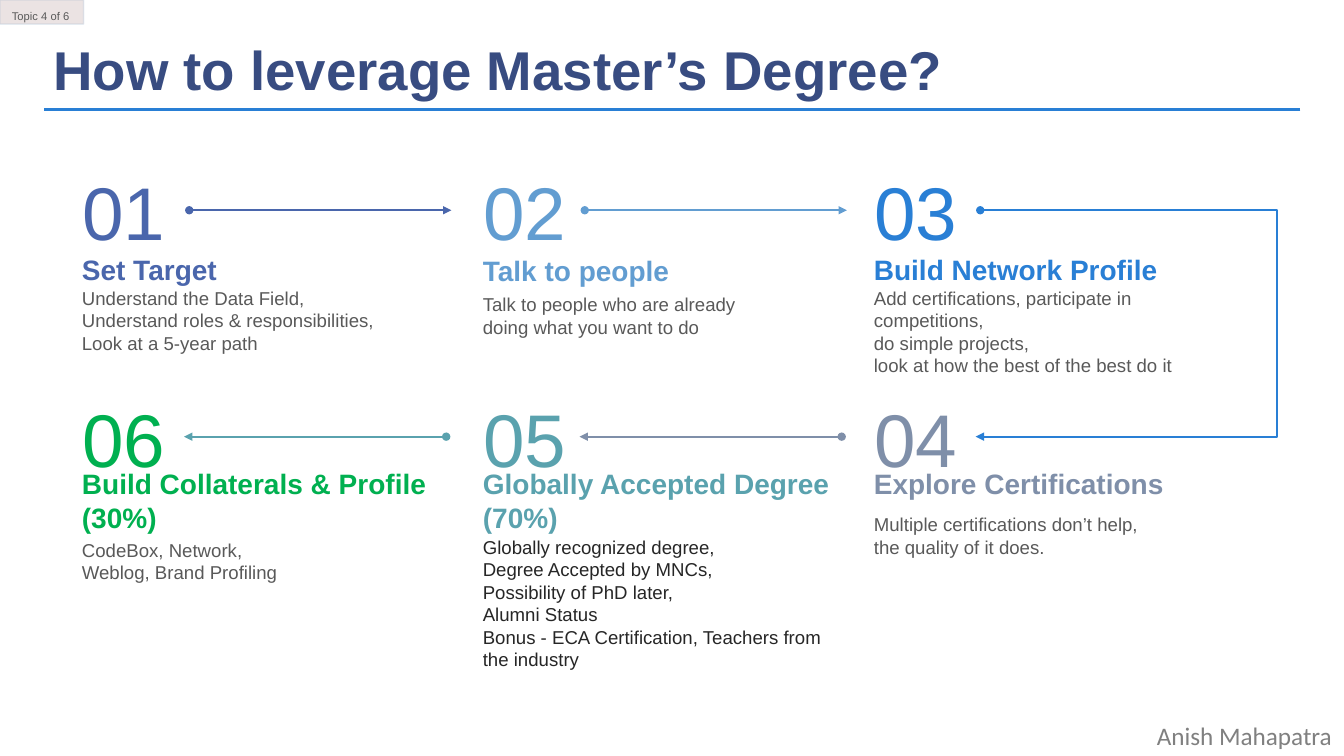
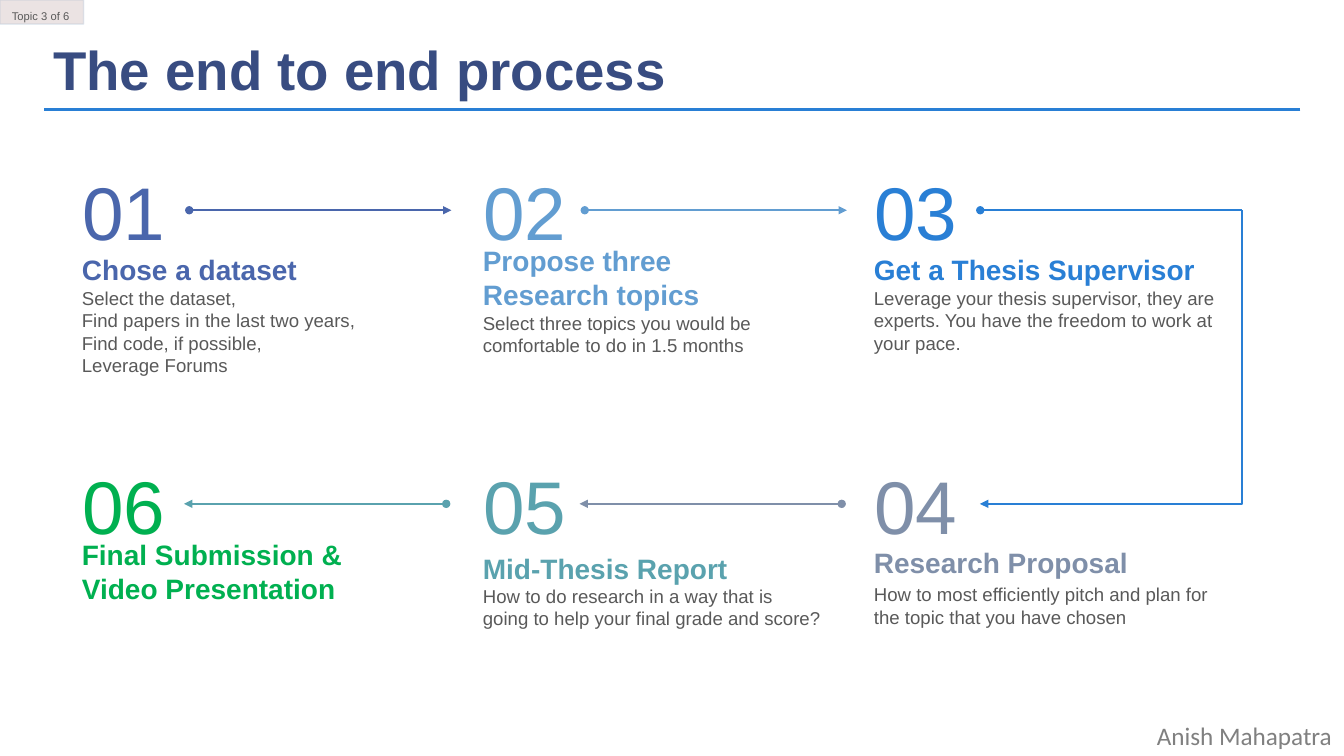
from dataclasses import dataclass
from lxml import etree
from pptx import Presentation
from pptx.dml.color import RGBColor
from pptx.enum import shapes, text
from pptx.oxml import ns
from pptx.util import Pt

# Shared style
FONT = "Arial"
NAVY, BLUE, GREY, DARK = "384C81", "297FD5", "595959", "262626"
STEP_COLORS = ["4A66AC", "629DD1", BLUE, "7F8FA9", "5AA2AE", "00B050"]

# Grid: three columns, read left to right and then right to left
COLUMNS = [58.5, 344.9, 624.2]
TOP_ROW = 118.8
ARROW_DOWN = 31.4  # from the top of a row to its arrows
ARROW_LEFT, ARROW_PITCH, ARROW_WIDTH = 135.2, 282.5, 187.3
BACK_SHIFT = -3.75
HEAD_LINE, BODY_LINE = 24.2, 16.1


@dataclass
class Step:
    """Tops are measured from the top of the step's row."""
    head: str
    head_top: float
    head_width: float
    body: str = ""
    body_top: float = 0
    body_width: float = 0
    body_lines: int = 0
    body_color: str = GREY


def rgb(value):
    return RGBColor.from_string(value)


def sub(parent, tag, **attrs):
    return etree.SubElement(parent, ns.qn(tag), attrs)


def add_text(s, box, content, size, color, bold=False, font=FONT, tight=False,
             wrap=True, align=text.PP_ALIGN.LEFT, anchor=text.MSO_ANCHOR.TOP,
             spacing=None):
    tf = s.shapes.add_textbox(*map(Pt, box)).text_frame
    tf.word_wrap = wrap
    tf.vertical_anchor = anchor
    if tight:
        tf.margin_left = tf.margin_right = tf.margin_top = tf.margin_bottom = 0
    tf.text = content
    for p in tf.paragraphs:
        p.alignment = align
        if spacing:
            p.line_spacing = spacing
        for r in p.runs:
            r.font.name, r.font.size, r.font.bold = font, Pt(size), bold
            r.font.color.rgb = rgb(color)


def add_line(s, start, end, color, width=1.5, head=None, tail=None, bend=None):
    """Draw a straight line, or an elbow that turns at the share `bend`."""
    kind = shapes.MSO_CONNECTOR.STRAIGHT if bend is None else shapes.MSO_CONNECTOR.ELBOW
    line = s.shapes.add_connector(kind, *map(Pt, (*start, *end)))
    line.line.color.rgb = rgb(color)
    line.line.width = Pt(width)
    props = line._element.spPr
    ln = props.find(ns.qn("a:ln"))
    for tag, end_type in (("a:headEnd", head), ("a:tailEnd", tail)):
        if end_type:
            sub(ln, tag, type=end_type)
    sub(props, "a:effectLst")
    if bend is not None:
        guides = props.find(ns.qn("a:prstGeom")).find(ns.qn("a:avLst"))
        sub(guides, "a:gd", name="adj1", fmla=f"val {round(bend * 100000)}")


def set_alpha(fill, percent):
    color = fill._xPr.find(ns.qn("a:solidFill"))[0]
    sub(color, "a:alpha", val=str(percent * 1000))


def add_frame(s, title, title_width, topic):
    # Rule under the title
    add_line(s, (928.8, 78), (31.2, 78), BLUE, 2.25)
    # Topic tag
    tag = s.shapes.add_shape(shapes.MSO_SHAPE.RECTANGLE, 0, 0, Pt(59.8), Pt(17.3))
    tag.shadow.inherit = False
    tag.fill.solid()
    tag.fill.fore_color.rgb = rgb("7A4646")
    set_alpha(tag.fill, 15)
    tag.line.color.rgb = rgb("1F5FA0")
    tag.line.width = Pt(1)
    set_alpha(tag.line.fill, 10)
    # Footer, title and tag label
    add_text(s, (819.2, 511, 141, 29), "Anish Mahapatra", 18, "808080",
             font="Calibri", wrap=False)
    add_text(s, (31, 22.3, title_width, 55), title, 39, NAVY, bold=True)
    add_text(s, (1.4, -1.4, 58.3, 20), topic, 8, GREY, spacing=1.5)


def add_step(s, x, y, number, step):
    color = STEP_COLORS[number - 1]
    add_text(s, (x, y, 59.8, 64.8), f"{number:02d}", 53.3, color, tight=True,
             wrap=False, align=text.PP_ALIGN.CENTER)
    if step.body:
        add_text(s, (x, y + step.body_top, step.body_width, step.body_lines * BODY_LINE),
                 step.body, 13.3, step.body_color, tight=True)
    lines = 1 + step.head.count("\v") + step.head.count("\n")
    add_text(s, (x, y + step.head_top, step.head_width, lines * HEAD_LINE), step.head,
             20, color, bold=True, tight=True, anchor=text.MSO_ANCHOR.MIDDLE)


def add_arrows(s, low_row, turn_end, bend):
    y1, y2 = TOP_ROW + ARROW_DOWN, low_row + ARROW_DOWN
    # Top row, to the right; the third line runs on into the elbow
    for i in range(3):
        left = ARROW_LEFT + i * ARROW_PITCH
        add_line(s, (left, y1), (left + ARROW_WIDTH, y1), STEP_COLORS[i], head="oval",
                 tail="triangle" if i < 2 else None)
    add_line(s, (left + ARROW_WIDTH, y1), (turn_end, y2), STEP_COLORS[2],
             tail="triangle", bend=bend)
    # Lower row, to the left
    for i in (1, 0):
        left = ARROW_LEFT + BACK_SHIFT + i * ARROW_PITCH
        add_line(s, (left + ARROW_WIDTH, y2), (left, y2), STEP_COLORS[4 - i],
                 head="oval", tail="triangle")


def add_process_slide(prs, title, title_width, topic, low_row, turn_end, bend, steps):
    s = prs.slides.add_slide(prs.slide_layouts[6])
    add_frame(s, title, title_width, topic)
    for i, step in enumerate(steps):
        x, y = (COLUMNS[i], TOP_ROW) if i < 3 else (COLUMNS[5 - i], low_row)
        add_step(s, x, y, i + 1, step)
    add_arrows(s, low_row, turn_end, bend)


LEVERAGE_STEPS = [
    Step("Set Target", 61.2, 100,
         "Understand the Data Field,\nUnderstand roles & responsibilities,\n"
         "Look at a 5-year path", 86.2, 244, 3),
    Step("Talk to people", 62, 136,
         "Talk to people who are already doing what you want to do", 90.7, 214, 2),
    Step("Build Network Profile", 61.2, 212,
         "Add certifications, participate in competitions,\vdo simple projects,\v"
         "look at how the best of the best do it", 86.2, 259, 4),
    Step("Explore Certifications", 52.6, 216,
         "Multiple certifications don’t help,\vthe quality of it does.", 86, 243, 2),
    Step("Globally Accepted Degree\v(70%)", 52.6, 256,
         "Globally recognized degree,\vDegree Accepted by MNCs,\n"
         "Possibility of PhD later,\nAlumni Status\n"
         "Bonus - ECA Certification, Teachers from the industry", 102.4, 261, 6, DARK),
    Step("Build Collaterals & Profile\v(30%)", 52.6, 250,
         "CodeBox, Network,\nWeblog, Brand Profiling", 104.2, 257, 2),
]

PROCESS_STEPS = [
    Step("Chose a dataset", 61.2, 157,
         "Select the dataset,\nFind papers in the last two years,\n"
         "Find code, if possible,\nLeverage Forums", 86.2, 244, 4),
    Step("Propose three\nResearch topics", 55.2, 158,
         "Select three topics you would be comfortable to do in 1.5 months",
         103.7, 214, 2),
    Step("Get a Thesis Supervisor", 61.2, 233,
         "Leverage your thesis supervisor, they are experts. You have the freedom "
         "to work at your pace.", 86.2, 259, 3),
    Step("Research Proposal", 61.2, 185,
         "How to most efficiently pitch and plan for the topic that you have chosen",
         88.2, 243, 2),
    Step("Mid-Thesis Report", 65.5, 178,
         "How to do research in a way that is going to help your final grade and score?",
         89.3, 243, 2),
    Step("Final Submission &\vVideo Presentation", 55.4, 189),
]


def main():
    prs = Presentation()
    prs.slide_width, prs.slide_height = Pt(960), Pt(540)
    add_process_slide(prs, "How to leverage Master’s Degree?", 743, "Topic 4 of 6",
                      280.5, 697, -0.13, LEVERAGE_STEPS)
    add_process_slide(prs, "The end to end process", 502.5, "Topic 3 of 6",
                      328.5, 700, 0, PROCESS_STEPS)
    prs.save("out.pptx")


if __name__ == "__main__":
    main()
